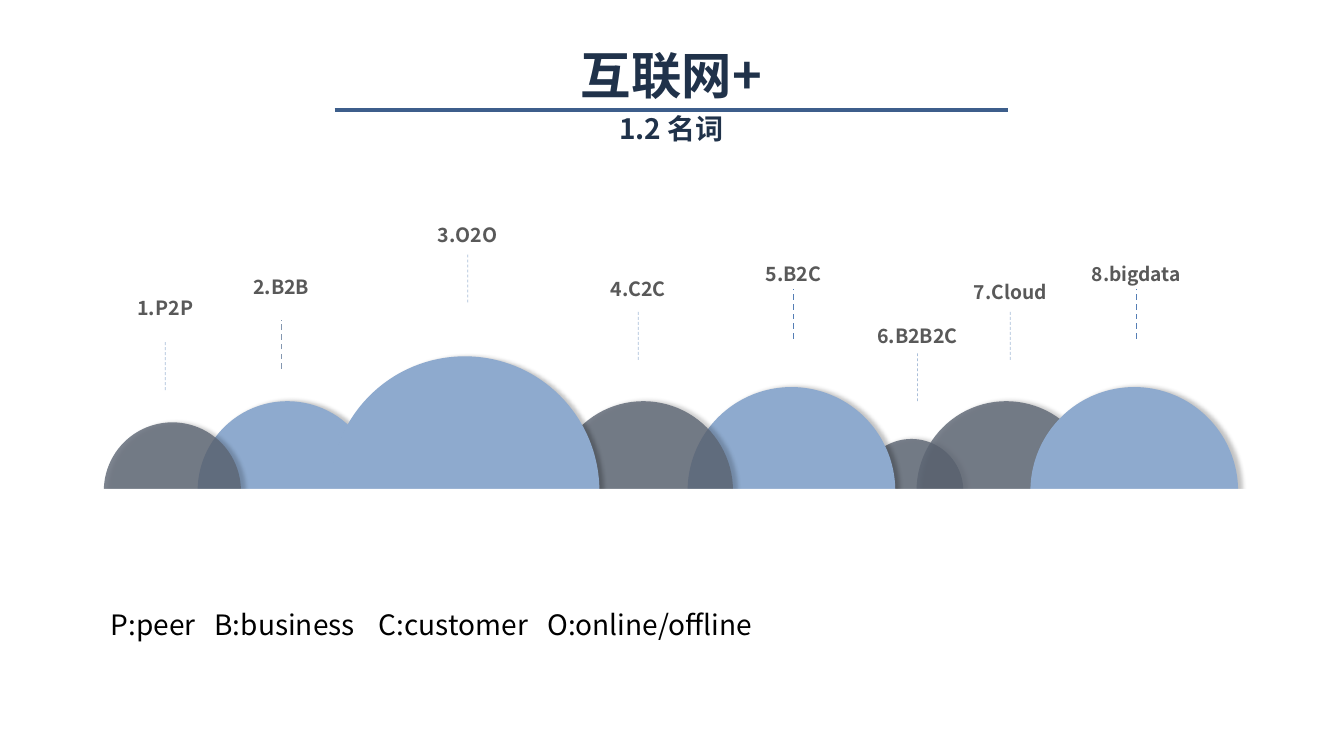
from dataclasses import dataclass

from lxml import etree
from pptx import Presentation
from pptx import util as u
from pptx.dml.color import RGBColor
from pptx.enum import dml, shapes, text
from pptx.oxml import ns


@dataclass(frozen=True)
class Theme:
    font: str = "Noto Sans CJK SC"
    navy: str = "20324A"
    rule: str = "3D5E8B"
    blue: str = "8EAACE"
    slate: str = "5C6573"
    pin: str = "557EB5"
    pale_pin: str = "8497B0"
    label: str = "595959"
    black: str = "000000"
    white: str = "FFFFFF"
    title_size: float = 36
    body_size: float = 20
    label_size: float = 14
    small_label_size: float = 13.7


T = Theme()
HORIZON = 4.87
PIN_LENGTH = 0.49
LABEL_W, LABEL_H = 1.2, 0.34


@dataclass(frozen=True)
class Term:
    name: str
    dome_x: float
    diameter: float
    label_x: float
    label_y: float
    pin_y: float
    blue: bool = False
    faint_pin: bool = True
    pin_color: str = T.pin
    size: float = T.label_size


# Ordered from the back dome to the front dome
TERMS = [
    Term("6.B2B2C", 9.04, 1.03, 9.1, 3.16, 3.49),
    Term("5.B2C", 7.85, 2.06, 7.87, 2.55, 2.87, blue=True, faint_pin=False),
    Term("4.C2C", 6.38, 1.78, 6.33, 2.7, 3.08),
    Term("2.B2B", 2.85, 1.78, 2.79, 2.68, 3.17, blue=True, faint_pin=False,
         pin_color=T.pale_pin),
    Term("1.P2P", 1.71, 1.36, 1.64, 2.89, 3.38),
    Term("3.O2O", 4.61, 2.67, 4.64, 2.16, 2.51, blue=True),
    Term("7.Cloud", 9.98, 1.78, 10.02, 2.73, 3.08, size=T.small_label_size),
    Term("8.bigdata", 11.25, 2.06, 11.27, 2.55, 2.87, blue=True,
         faint_pin=False, size=T.small_label_size),
]
KEY = ["P:peer", "B:business", "C:customer", "O:online/offline"]
KEY_TABS = [1.03, 2.66, 4.33]


def rgb(color: str) -> RGBColor:
    return RGBColor.from_string(color)


def sub(parent, tag: str, **attrs):
    return etree.SubElement(parent, ns.qn(tag), **attrs)


def set_alpha(parent, percent: int) -> None:
    """Make the first colour under parent partly transparent."""
    color = parent.find(".//" + ns.qn("a:srgbClr"))
    sub(color, "a:alpha", val=str(percent * 1000))


def add_text(s, x: float, y: float, w: float, h: float, content: str,
             size: float, color: str, bold: bool = True,
             align=text.PP_ALIGN.CENTER, inset: bool = True,
             wrap: bool = True, tabs=()):
    tf = s.shapes.add_textbox(*map(u.Inches, (x, y, w, h))).text_frame
    tf.word_wrap = wrap
    if not inset:
        tf.margin_left = tf.margin_right = tf.margin_top = tf.margin_bottom = 0
    p = tf.paragraphs[0]
    p.alignment = align
    if tabs:
        tab_list = sub(p._p.get_or_add_pPr(), "a:tabLst")
        for tab in tabs:
            sub(tab_list, "a:tab", pos=str(u.Inches(tab)), algn="l")
    r = p.add_run()
    r.text = content
    r.font.name = T.font
    r.font.size = u.Pt(size)
    r.font.bold = bold
    r.font.color.rgb = rgb(color)
    sub(r._r.get_or_add_rPr(), "a:ea", typeface=T.font)
    return tf


def add_line(s, x1: float, y1: float, x2: float, y2: float,
             color: str, width: float):
    line = s.shapes.add_connector(shapes.MSO_CONNECTOR.STRAIGHT,
                                  *map(u.Inches, (x1, y1, x2, y2)))
    line.line.color.rgb = rgb(color)
    line.line.width = u.Pt(width)
    sub(line._element.spPr, "a:effectLst")
    return line


def add_filled(s, kind, x: float, y: float, w: float, h: float, color: str):
    sp = s.shapes.add_shape(kind, *map(u.Inches, (x, y, w, h)))
    sp.shadow.inherit = False
    sp.fill.solid()
    sp.fill.fore_color.rgb = rgb(color)
    sp.line.fill.background()
    return sp


def add_dome(s, term: Term) -> None:
    d = term.diameter
    sp = add_filled(s, shapes.MSO_SHAPE.OVAL, term.dome_x - d / 2,
                    HORIZON - d / 2, d, d, T.blue if term.blue else T.slate)
    sp_pr = sp._element.spPr
    if not term.blue:
        set_alpha(sp_pr, 80)
    effects = sp_pr.find(ns.qn("a:effectLst"))
    shadow = sub(effects, "a:outerShdw", blurRad=str(u.Pt(3)),
                 dist=str(u.Pt(3)), dir="0", algn="l", rotWithShape="0")
    sub(shadow, "a:srgbClr", val=T.black)
    set_alpha(shadow, 23)


def add_label(s, term: Term) -> None:
    """Draw the dashed pin above a dome and the term over it."""
    pin = add_line(s, term.label_x, term.pin_y + PIN_LENGTH, term.label_x,
                   term.pin_y, term.pin_color, 0.5 if term.faint_pin else 1)
    pin.line.dash_style = dml.MSO_LINE.DASH
    if term.faint_pin:
        set_alpha(pin._element.spPr, 50)
    add_text(s, term.label_x - LABEL_W / 2, term.label_y, LABEL_W, LABEL_H,
             term.name, term.size, T.label, wrap=False)


def main() -> None:
    prs = Presentation()
    prs.slide_width, prs.slide_height = u.Inches(13.33), u.Inches(7.5)
    s = prs.slides.add_slide(prs.slide_layouts[6])

    add_text(s, 4.78, 0.44, 3.76, 0.61, "互联网+", T.title_size, T.navy,
             inset=False)
    add_line(s, 3.32, 1.09, 10, 1.09, T.rule, 3)
    add_text(s, 4.78, 1.11, 3.76, 0.34, "1.2 名词", T.body_size, T.navy,
             inset=False)

    for term in TERMS:
        add_dome(s, term)
    for term in TERMS:
        add_label(s, term)
    add_filled(s, shapes.MSO_SHAPE.RECTANGLE, 0, 4.85, 13.33, 2.65, T.white)

    tf = add_text(s, 1, 5.76, 8.63, 0.86, "\t".join(KEY), T.body_size, T.black,
                  bold=False, align=text.PP_ALIGN.LEFT, tabs=KEY_TABS)
    tf.vertical_anchor = text.MSO_ANCHOR.MIDDLE

    prs.save("out.pptx")


if __name__ == "__main__":
    main()
